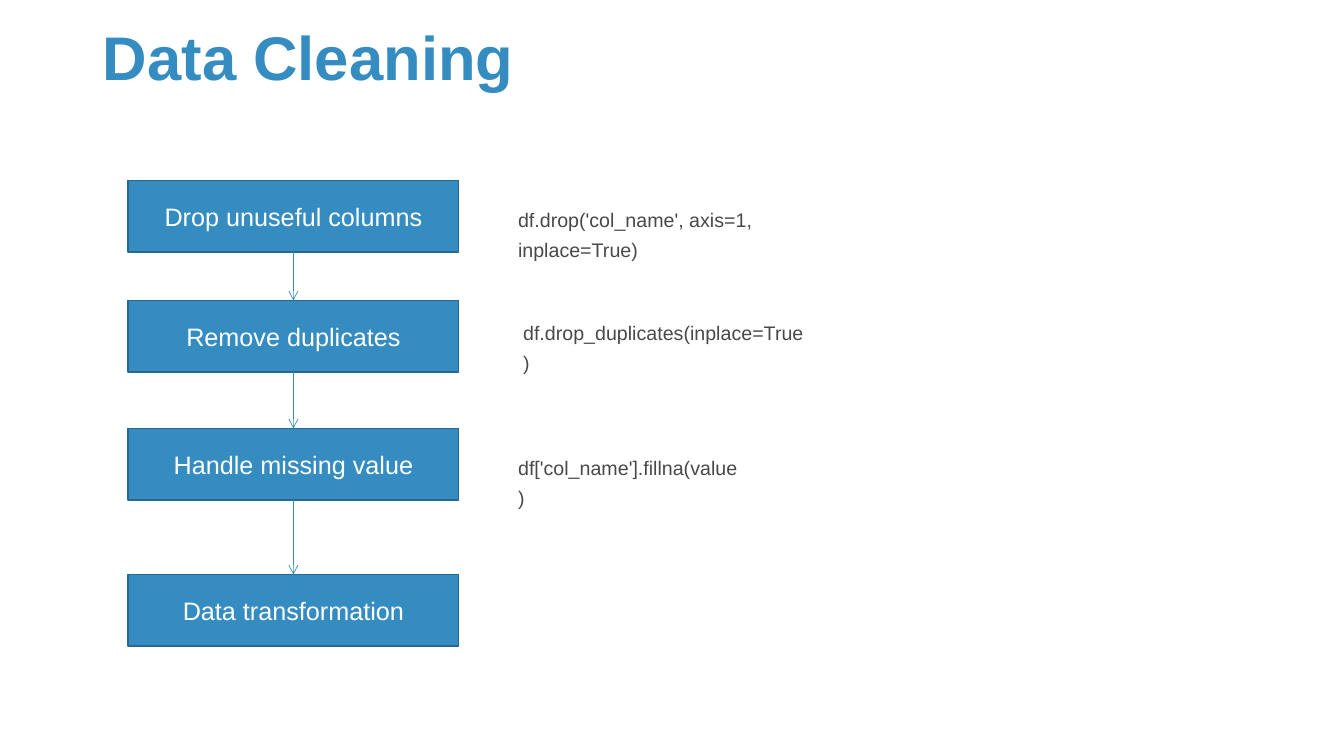
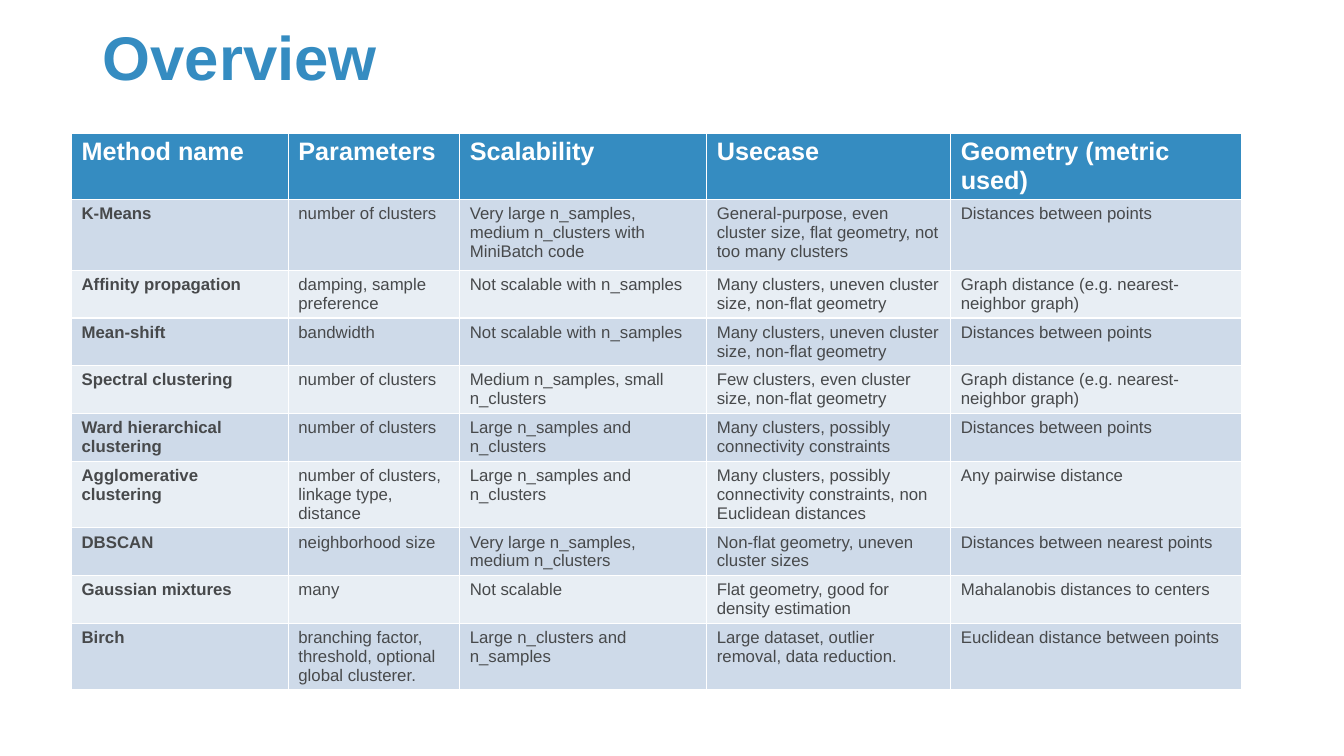
from dataclasses import dataclass
from itertools import pairwise

from lxml import etree
from pptx import Presentation
from pptx.dml.color import RGBColor
from pptx.enum.shapes import MSO_CONNECTOR, MSO_SHAPE
from pptx.enum.text import MSO_ANCHOR, MSO_AUTO_SIZE, PP_ALIGN
from pptx.oxml.ns import qn
from pptx.shapes.autoshape import Shape
from pptx.slide import Slide
from pptx.util import Inches, Pt

BLUE = RGBColor(0x35, 0x8C, 0xC1)
EDGE = RGBColor(0x27, 0x68, 0x8F)
INK = RGBColor(0x47, 0x49, 0x4B)
WHITE = RGBColor(0xFF, 0xFF, 0xFF)
BANDS = (RGBColor(0xCE, 0xDA, 0xE9), RGBColor(0xE8, 0xEE, 0xF4))
FONT = "Arial"
LEFT, CENTER = PP_ALIGN.LEFT, PP_ALIGN.CENTER
MIDDLE = MSO_ANCHOR.MIDDLE
NO_FIT = MSO_AUTO_SIZE.NONE
PROCESS = MSO_SHAPE.FLOWCHART_PROCESS
STRAIGHT = MSO_CONNECTOR.STRAIGHT
TOP_SITE, BOTTOM_SITE = 0, 2


@dataclass(frozen=True)
class Step:
    text: str
    top: float


@dataclass(frozen=True)
class Code:
    text: str
    left: float
    top: float
    width: float


STEPS = (
    Step("Drop unuseful columns", 1.79),
    Step("Remove duplicates", 2.98),
    Step("Handle missing value", 4.25),
    Step("Data transformation", 5.7),
)
CODES = (
    Code("df.drop('col_name', axis=1, inplace=True)", 5.04, 1.94, 3.7),
    Code("df.drop_duplicates(inplace=True)", 5.09, 3.06, 3.04),
    Code("df['col_name'].fillna(value)", 5.04, 4.4, 2.42),
)

WIDTHS = (2.15, 1.7, 2.45, 2.42, 2.88)
HEIGHTS = (0.56, 0.7) + (0.42,) * 8
POINTS = "Distances between points"
GRAPH = "Graph distance (e.g. nearest-neighbor graph)"
COUNT = "number of clusters"
UNEVEN = "Many clusters, uneven cluster size, non-flat geometry"
LARGE = "Large n_samples and n_clusters"
FIXED = "Not scalable with n_samples"
ROWS = (
    ("Method name", "Parameters", "Scalability", "Usecase",
     "Geometry (metric used)"),
    ("K-Means", COUNT,
     "Very large n_samples, medium n_clusters with MiniBatch code",
     "General-purpose, even cluster size, flat geometry, "
     "not too many clusters", POINTS),
    ("Affinity propagation", "damping, sample preference", FIXED, UNEVEN,
     GRAPH),
    ("Mean-shift", "bandwidth", FIXED, UNEVEN, POINTS),
    ("Spectral clustering", COUNT, "Medium n_samples, small n_clusters",
     "Few clusters, even cluster size, non-flat geometry", GRAPH),
    ("Ward hierarchical clustering", COUNT, LARGE,
     "Many clusters, possibly connectivity constraints", POINTS),
    ("Agglomerative clustering",
     "number of clusters, linkage type, distance", LARGE,
     "Many clusters, possibly connectivity constraints, "
     "non Euclidean distances", "Any pairwise distance"),
    ("DBSCAN", "neighborhood size", "Very large n_samples, medium n_clusters",
     "Non-flat geometry, uneven cluster sizes",
     "Distances between nearest points"),
    ("Gaussian mixtures", "many", "Not scalable",
     "Flat geometry, good for density estimation",
     "Mahalanobis distances to centers"),
    ("Birch", "branching factor, threshold, optional global clusterer.",
     "Large n_clusters and n_samples",
     "Large dataset, outlier removal, data reduction.",
     "Euclidean distance between points"),
)


def write(frame, text: str, size: int, color: RGBColor, bold: bool = False,
          align: PP_ALIGN = LEFT, space: float = 1.0) -> None:
    frame.text = text
    frame.word_wrap = True
    para = frame.paragraphs[0]
    para.alignment = align
    para.line_spacing = space
    font = para.font
    font.name, font.size, font.bold = FONT, Pt(size), bold
    font.color.rgb = color


def add_slide(deck, text: str) -> Slide:
    slide = deck.slides.add_slide(deck.slide_layouts[5])
    title = slide.shapes.title
    title.left, title.top = Inches(0.92), Inches(0.2)
    title.width, title.height = Inches(11.5), Inches(0.8)
    frame = title.text_frame
    frame.auto_size = NO_FIT
    frame.vertical_anchor = MIDDLE
    write(frame, text, 44, BLUE, bold=True, space=0.9)
    return slide


def add_step(slide: Slide, step: Step) -> Shape:
    box = slide.shapes.add_shape(PROCESS, Inches(1.27), Inches(step.top),
                                 Inches(3.28), Inches(0.71))
    box.shadow.inherit = False
    box.fill.solid()
    box.fill.fore_color.rgb = BLUE
    box.line.color.rgb = EDGE
    box.line.width = Pt(1)
    box.text_frame.vertical_anchor = MIDDLE
    write(box.text_frame, step.text, 18, WHITE, align=CENTER)
    return box


def add_arrow(slide: Slide, start: Shape, end: Shape) -> None:
    arrow = slide.shapes.add_connector(STRAIGHT, 0, 0, 0, 0)
    arrow.begin_connect(start, BOTTOM_SITE)
    arrow.end_connect(end, TOP_SITE)
    arrow.line.color.rgb = BLUE
    arrow.line.width = Pt(0.5)
    props = arrow.element.spPr
    etree.SubElement(props.find(qn("a:ln")), qn("a:tailEnd"), type="arrow")
    etree.SubElement(props, qn("a:effectLst"))


def add_code(slide: Slide, code: Code) -> None:
    box = slide.shapes.add_textbox(Inches(code.left), Inches(code.top),
                                   Inches(code.width), Inches(0.41))
    write(box.text_frame, code.text, 14, INK, space=1.3)


def add_grid(slide: Slide) -> None:
    grid = slide.shapes.add_table(
        len(ROWS), len(WIDTHS), Inches(0.71), Inches(1.32),
        Inches(sum(WIDTHS)), Inches(sum(HEIGHTS))).table
    for col, width in zip(grid.columns, WIDTHS):
        col.width = Inches(width)
    for row, height in zip(grid.rows, HEIGHTS):
        row.height = Inches(height)
    for i, texts in enumerate(ROWS):
        head = i == 0
        for j, text in enumerate(texts):
            cell = grid.cell(i, j)
            cell.fill.solid()
            cell.fill.fore_color.rgb = BLUE if head else BANDS[(i - 1) % 2]
            write(cell.text_frame, text, 18 if head else 12,
                  WHITE if head else INK, bold=head or j == 0)


def main() -> None:
    deck = Presentation()
    deck.slide_width, deck.slide_height = Inches(13.33), Inches(7.5)

    flow = add_slide(deck, "Data Cleaning")
    boxes = [add_step(flow, step) for step in STEPS]
    for start, end in pairwise(boxes):
        add_arrow(flow, start, end)
    for code in CODES:
        add_code(flow, code)

    add_grid(add_slide(deck, "Overview"))
    deck.save("out.pptx")


main()
